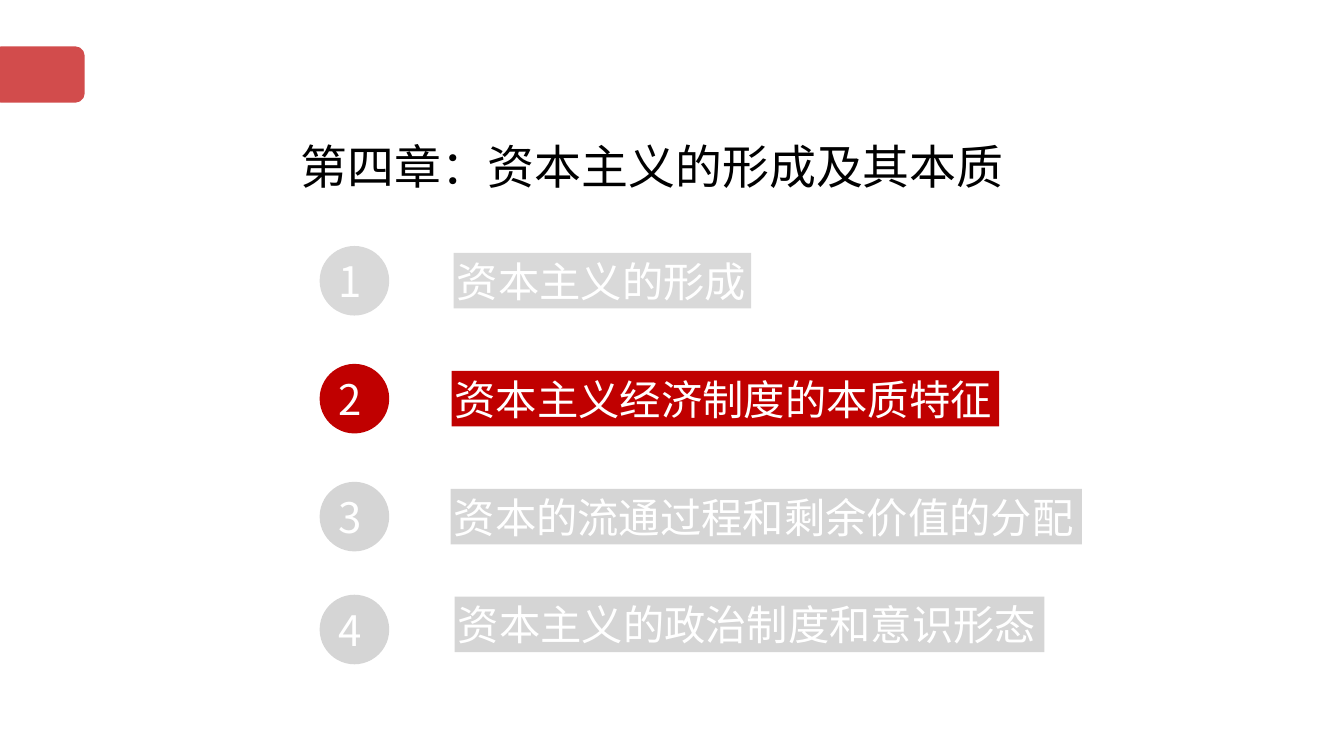
from lxml import etree
from pptx import Presentation
from pptx.dml.color import RGBColor
from pptx.enum.shapes import MSO_SHAPE
from pptx.enum.text import MSO_ANCHOR, MSO_AUTO_SIZE, PP_ALIGN
from pptx.oxml.ns import qn
from pptx.util import Inches, Pt

# Content
TITLE = "第四章：资本主义的形成及其本质"
# text, bar left, bar top, bar width, circle top, colour
SECTIONS = [
    ("资本主义的形成", 4.5, 2.51, 2.95, 2.44, "light"),
    ("资本主义经济制度的本质特征", 4.48, 3.68, 5.43, 3.61, "red"),
    ("资本的流通过程和剩余价值的分配", 4.47, 4.85, 6.26, 4.78, "grey"),
    ("资本主义的政治制度和意识形态", 4.51, 5.92, 5.85, 5.9, "grey"),
]
COLORS = {"red": "C00000", "light": "D9D9D9", "grey": "D5D5D5",
          "white": "FFFFFF", "black": "000000"}
FONT = "Noto Sans CJK SC"
CIRCLE_LEFT, CIRCLE_SIZE, BAR_HEIGHT = 3.17, 0.69, 0.55


def add_shape(slide, kind, box, color):
    sp = slide.shapes.add_shape(kind, *map(Inches, box))
    sp.shadow.inherit = False
    sp.fill.solid()
    sp.fill.fore_color.rgb = RGBColor.from_string(COLORS[color])
    sp.line.fill.background()
    return sp


def set_text(sp, text, size, color="white", margins=(0.03,) * 4,
             wrap=False, spacing=None):
    tf = sp.text_frame
    tf.word_wrap = wrap
    tf.auto_size = MSO_AUTO_SIZE.NONE if wrap else MSO_AUTO_SIZE.SHAPE_TO_FIT_TEXT
    tf.vertical_anchor = MSO_ANCHOR.MIDDLE
    (tf.margin_left, tf.margin_top,
     tf.margin_right, tf.margin_bottom) = map(Inches, margins)
    p = tf.paragraphs[0]
    p.alignment = PP_ALIGN.LEFT
    if spacing:
        p.line_spacing = spacing
    r = p.add_run()
    r.text = text
    r.font.size = Pt(size)
    r.font.name = FONT
    r.font.color.rgb = RGBColor.from_string(COLORS[color])
    # East Asian typeface
    etree.SubElement(r.font._element, qn("a:ea")).set("typeface", FONT)


prs = Presentation()
prs.slide_width, prs.slide_height = Inches(13.33), Inches(7.5)
slide = prs.slides.add_slide(prs.slide_layouts[6])

# Translucent tab at the left edge
tab = add_shape(slide, MSO_SHAPE.ROUNDED_RECTANGLE, (-0.08, 0.46, 0.92, 0.56), "red")
rgb = tab.fill._xPr.find(qn("a:solidFill")).find(qn("a:srgbClr"))
etree.SubElement(rgb, qn("a:alpha")).set("val", "70000")

# Chapter title
title = slide.shapes.add_textbox(*map(Inches, (2.95, 1.05, 7.1, 0.9)))
set_text(title, TITLE, 33.5, color="black", spacing=1.5)

# Numbered sections
for number, (text, left, top, width, circle_top, color) in enumerate(SECTIONS, 1):
    bar = add_shape(slide, MSO_SHAPE.RECTANGLE, (left, top, width, BAR_HEIGHT), color)
    set_text(bar, text, 29.5)
    circle = add_shape(slide, MSO_SHAPE.OVAL,
                       (CIRCLE_LEFT, circle_top, CIRCLE_SIZE, CIRCLE_SIZE), color)
    set_text(circle, str(number), 30, margins=(0.09, 0, 0, 0), wrap=True)

prs.save("out.pptx")
